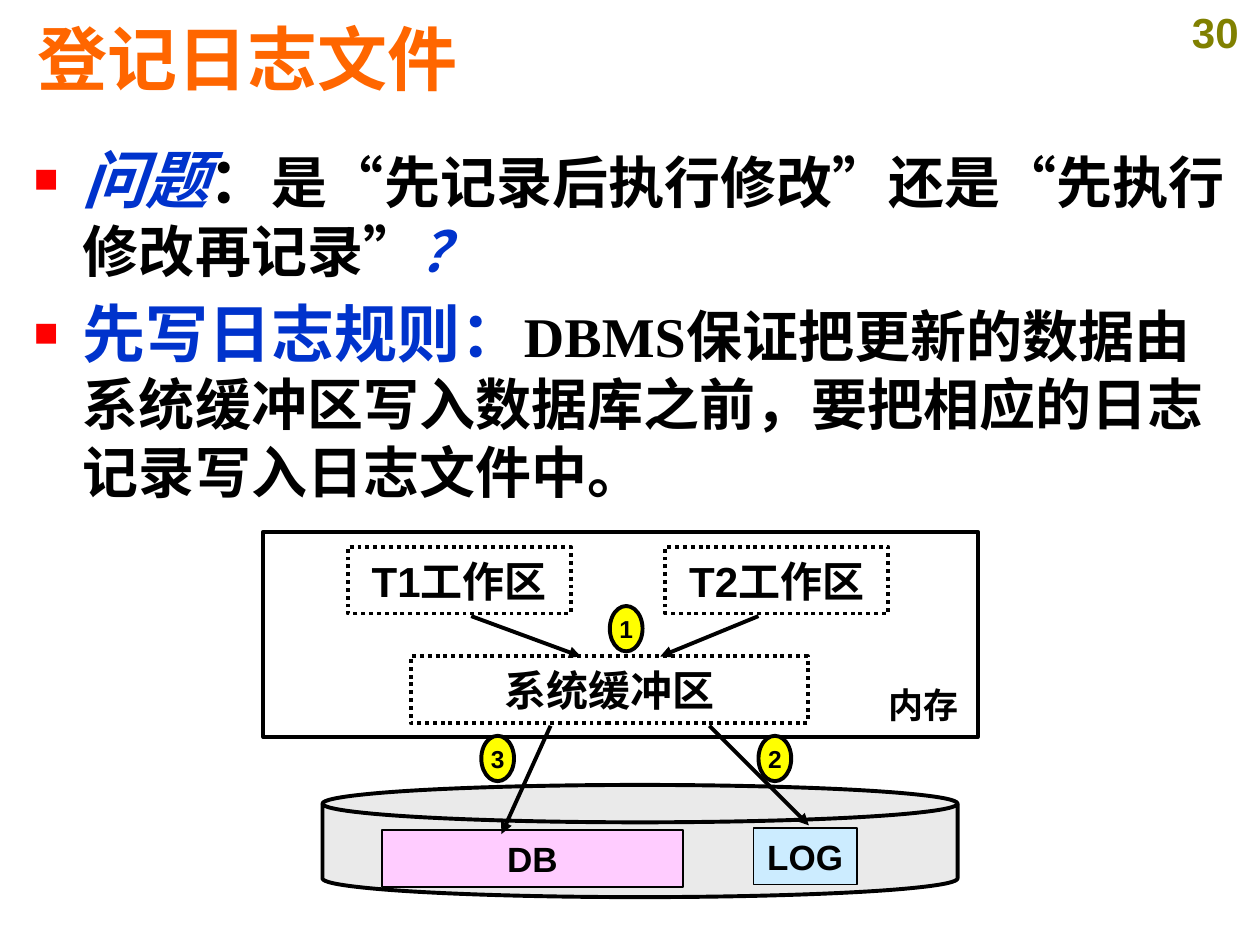
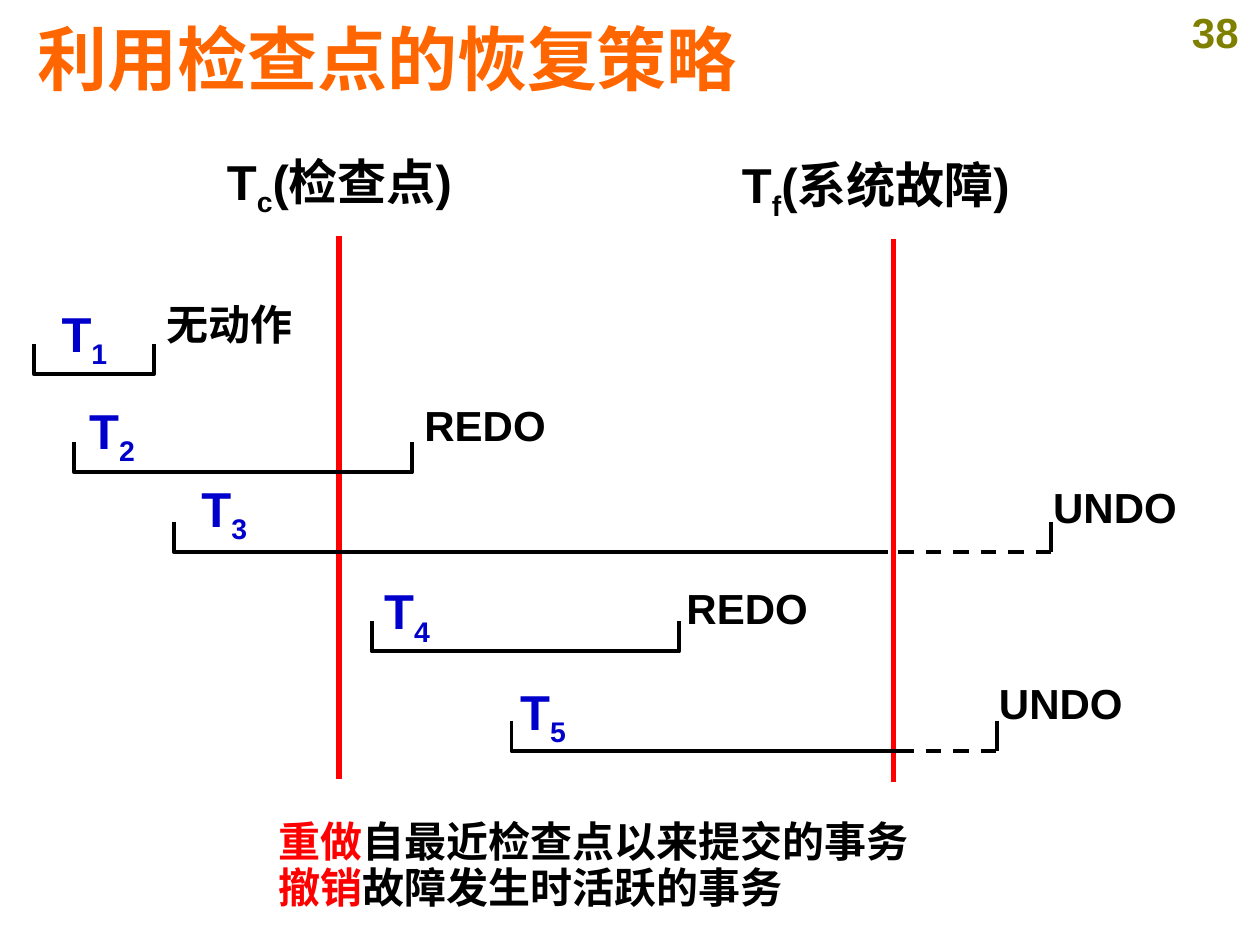
"""Build two slides on write-ahead logging and checkpoint recovery."""
from dataclasses import dataclass
from typing import Any

import pptx
import pptx.dml.color
import pptx.enum.dml
import pptx.enum.shapes
import pptx.enum.text
import pptx.oxml.ns
import pptx.util
from lxml import etree

PX = 9144
BLACK, WHITE, RED, YELLOW = "000000", "FFFFFF", "FF0000", "FFFF00"
ORANGE, OLIVE, BLUE, NAVY = "FF6600", "808000", "0033CC", "0000CC"
GREY, PINK, SKY = "EAEAEA", "FFCCFF", "CCECFF"
SERIF = "Times New Roman"

Shape = pptx.enum.shapes.MSO_SHAPE
Dash = pptx.enum.dml.MSO_LINE
Align = pptx.enum.text.PP_ALIGN
Anchor = pptx.enum.text.MSO_ANCHOR
Area = tuple[int, int, int, int]
Point = tuple[int, int]


@dataclass(frozen=True)
class Node:
    """A labelled shape of the buffer diagram."""
    area: Area
    text: str = ""
    kind: Any = Shape.RECTANGLE
    fill: str | None = None
    size: int = 20
    width: float = 2.25
    dash: Any = None


@dataclass(frozen=True)
class Span:
    """The life of one transaction; seam is where its dashed part starts."""
    tag: str
    spot: Area
    left: int
    right: int
    top: int
    note: str
    place: Area
    seam: Point | None = None


NODES = [
    Node((209, 422, 567, 163)),
    Node((256, 623, 504, 89), kind=Shape.FLOWCHART_MAGNETIC_DISK, fill=GREY),
    Node((303, 659, 239, 45), "DB", fill=PINK, width=1),
    Node((598, 657, 82, 45), "LOG", fill=SKY, width=1),
    *(Node((left, 434, 177, 53), f"T{num}工作区", size=24, dash=Dash.ROUND_DOT)
      for num, left in enumerate((276, 528), 1)),
    Node((326, 521, 315, 53), "系统缓冲区", size=24, dash=Dash.ROUND_DOT),
    *(Node((left, top, 26, 36), str(num), Shape.FLOWCHART_CONNECTOR, YELLOW, 14)
      for num, (left, top) in enumerate(((484, 481), (602, 584), (382, 584)), 1)),
]
ARROWS = [((374, 489), (461, 521)), ((602, 489), (524, 521)),
          ((563, 576), (642, 655)), ((437, 576), (398, 662))]
RULES = [
    [("问题", 36, BLUE, True), ("：", 36, BLACK, False),
     ("是“先记录后执行修改”还是“先执行修改再记录”", 32, BLACK, False),
     ("？", 32, BLUE, True)],
    [("先写日志规则：", 36, BLUE, False),
     ("DBMS保证把更新的数据由系统缓冲区写入数据库之前，"
      "要把相应的日志记录写入日志文件中。", 32, BLACK, False)],
]
SPANS = [
    Span("1", (39, 236, 60, 60), 27, 122, 273, "无动作", (122, 232, 197, 56)),
    Span("2", (61, 313, 61, 46), 59, 327, 351, "REDO", (327, 312, 126, 49)),
    Span("3", (150, 375, 66, 56), 138, 834, 414, "UNDO", (826, 377, 123, 45),
         (705, 713)),
    Span("4", (295, 456, 71, 69), 295, 539, 493, "REDO", (535, 457, 123, 52)),
    Span("5", (403, 536, 66, 59), 406, 791, 572, "UNDO", (783, 533, 119, 47),
         (713, 713)),
]
NOTES = [("重做", "自最近检查点以来提交的事务"), ("撤销", "故障发生时活跃的事务")]


def tint(code: str) -> Any:
    """Turn a hex string into a colour."""
    return pptx.dml.color.RGBColor.from_string(code)


def scale(*nums: int) -> list[int]:
    """Turn px into EMU."""
    return [num * PX for num in nums]


def node(parent: Any, name: str, **attrs: str) -> Any:
    """Append a drawing element."""
    item = etree.SubElement(parent, pptx.oxml.ns.qn(f"a:{name}"))
    item.attrib.update(attrs)
    return item


def write(par: Any, text: str, *, size: int = 24, hue: str = BLACK,
          font: str = "Arial", slant: bool = False, low: bool = False) -> None:
    """Add a bold run to a paragraph."""
    run = par.add_run()
    run.text = text
    run.font.size = pptx.util.Pt(size)
    run.font.bold = True
    run.font.italic = slant
    run.font.name = font
    run.font.color.rgb = tint(hue)
    if low:
        run._r.get_or_add_rPr().set("baseline", "-25000")


def frame(slide: Any, area: Area, anchor: Any = Anchor.TOP,
          wrap: bool = True) -> Any:
    """Add a text box and return its text frame."""
    body = slide.shapes.add_textbox(*scale(*area)).text_frame
    body.word_wrap = wrap
    body.vertical_anchor = anchor
    return body


def label(slide: Any, area: Area, text: str, align: Any = Align.LEFT,
          anchor: Any = Anchor.TOP, wrap: bool = True, **look: Any) -> None:
    """Add a text box with one run."""
    par = frame(slide, area, anchor, wrap).paragraphs[0]
    par.alignment = align
    write(par, text, **look)


def index(slide: Any, area: Area, low: str, rest: str = "", hue: str = BLACK,
          align: Any = Align.LEFT) -> None:
    """Add a T with a subscript."""
    par = frame(slide, area).paragraphs[0]
    par.alignment = align
    write(par, "T", size=28, hue=hue)
    write(par, low, size=28, hue=hue, low=True)
    if rest:
        write(par, rest, size=28, hue=hue)


def stroke(line: Any, hue: str = BLACK, width: float = 2.25,
           dash: Any = None) -> None:
    """Style a line."""
    line.color.rgb = tint(hue)
    line.width = pptx.util.Pt(width)
    if dash is not None:
        line.dash_style = dash


def link(slide: Any, start: Point, end: Point, head: bool = False,
         **look: Any) -> None:
    """Draw a straight line, with an arrowhead if asked."""
    line = slide.shapes.add_connector(
        pptx.enum.shapes.MSO_CONNECTOR.STRAIGHT, *scale(*start, *end))
    stroke(line.line, **look)
    if head:
        node(line.line._get_or_add_ln(), "tailEnd", type="triangle")
    node(line._element.spPr, "effectLst")


def draw(slide: Any, item: Node) -> None:
    """Draw one diagram node."""
    shape = slide.shapes.add_shape(item.kind, *scale(*item.area))
    shape.shadow.inherit = False
    if item.fill:
        shape.fill.solid()
        shape.fill.fore_color.rgb = tint(item.fill)
    else:
        shape.fill.background()
    stroke(shape.line, width=item.width, dash=item.dash)
    if item.text:
        body = shape.text_frame
        body.word_wrap = False
        body.vertical_anchor = Anchor.MIDDLE
        if item.kind == Shape.FLOWCHART_CONNECTOR:
            body.margin_left = body.margin_right = 0
            body.margin_top = body.margin_bottom = 0
        body.paragraphs[0].alignment = Align.CENTER
        write(body.paragraphs[0], item.text, size=item.size)


def trace(slide: Any, span: Span) -> None:
    """Draw a transaction's bracket and its labels."""
    base = span.top + 24
    points = [(span.left, base)]
    if span.seam:
        points.append((span.seam[0], base))
    else:
        points += [(span.right, base), (span.right, span.top)]
    path = slide.shapes.build_freeform(span.left, span.top, PX)
    path.add_line_segments(points, close=False)
    shape = path.convert_to_shape()
    shape.shadow.inherit = False
    shape.fill.background()
    stroke(shape.line)
    if span.seam:
        link(slide, (span.seam[1], base), (span.right, base), dash=Dash.DASH)
        link(slide, (span.right, span.top), (span.right, base))
    index(slide, span.spot, span.tag, hue=NAVY)
    label(slide, span.place, span.note)


def bullet(par: Any) -> None:
    """Give a paragraph a red square bullet."""
    props = par._p.get_or_add_pPr()
    props.set("marL", str(39 * PX))
    props.set("indent", str(-39 * PX))
    node(node(props, "buClr"), "srgbClr", val=RED)
    node(props, "buSzPct", val="65000")
    node(props, "buFont", typeface="Arial")
    node(props, "buChar", char="■")


def start(deck: Any, title: str, num: int) -> Any:
    """Add a slide with its title and number."""
    slide = deck.slides.add_slide(deck.slide_layouts[6])
    slide.background.fill.solid()
    slide.background.fill.fore_color.rgb = tint(WHITE)
    label(slide, (929, 0, 71, 50), str(num), Align.CENTER, hue=OLIVE)
    label(slide, (20, 8, 950, 76), title, anchor=Anchor.MIDDLE, size=40,
          hue=ORANGE)
    return slide


def logging(deck: Any) -> None:
    """Build the write-ahead logging slide."""
    slide = start(deck, "登记日志文件", 30)
    body = frame(slide, (17, 107, 968, 300))
    for num, runs in enumerate(RULES):
        par = body.add_paragraph() if num else body.paragraphs[0]
        bullet(par)
        if num:
            par.space_before = pptx.util.Pt(6)
        for text, size, hue, slant in runs:
            write(par, text, size=size, hue=hue, slant=slant, font=SERIF)
    for item in NODES:
        draw(slide, item)
    for tail, tip in ARROWS:
        link(slide, tail, tip, head=True)
    label(slide, (695, 538, 76, 43), "内存", Align.CENTER, Anchor.MIDDLE,
          wrap=False, size=20)


def recover(deck: Any) -> None:
    """Build the checkpoint recovery slide."""
    slide = start(deck, "利用检查点的恢复策略", 38)
    for left, top in ((269, 187), (709, 190)):
        link(slide, (left, top), (left, top + 431), hue=RED, width=3)
    index(slide, (161, 115, 217, 55), "c", "(检查点)", align=Align.CENTER)
    index(slide, (579, 118, 251, 60), "f", "(系统故障)")
    for span in SPANS:
        trace(slide, span)
    body = frame(slide, (211, 647, 611, 82))
    for num, (verb, rest) in enumerate(NOTES):
        par = body.add_paragraph() if num else body.paragraphs[0]
        par.line_spacing = 0.9
        write(par, verb, hue=RED)
        write(par, rest)


def main() -> None:
    """Build and save the deck."""
    deck = pptx.Presentation()
    deck.slide_width, deck.slide_height = scale(1000, 750)
    logging(deck)
    recover(deck)
    deck.save("out.pptx")


if __name__ == "__main__":
    main()
